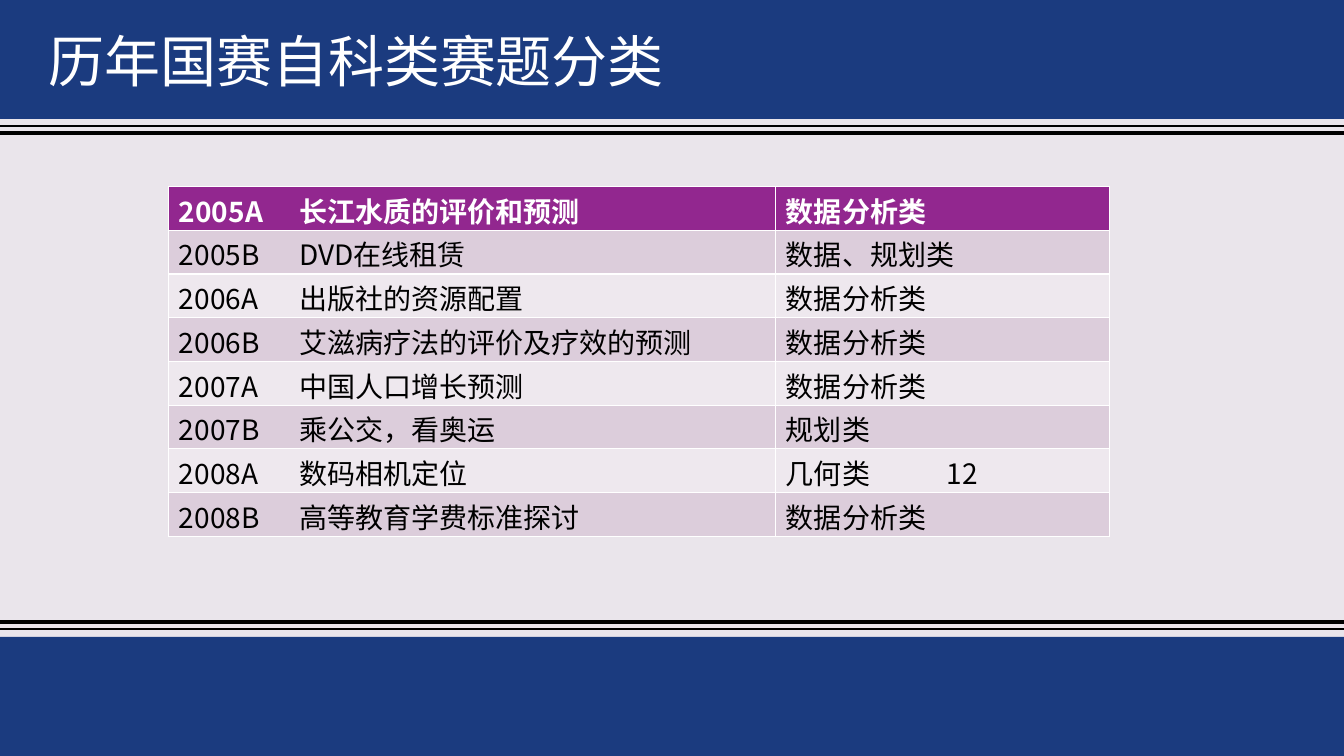
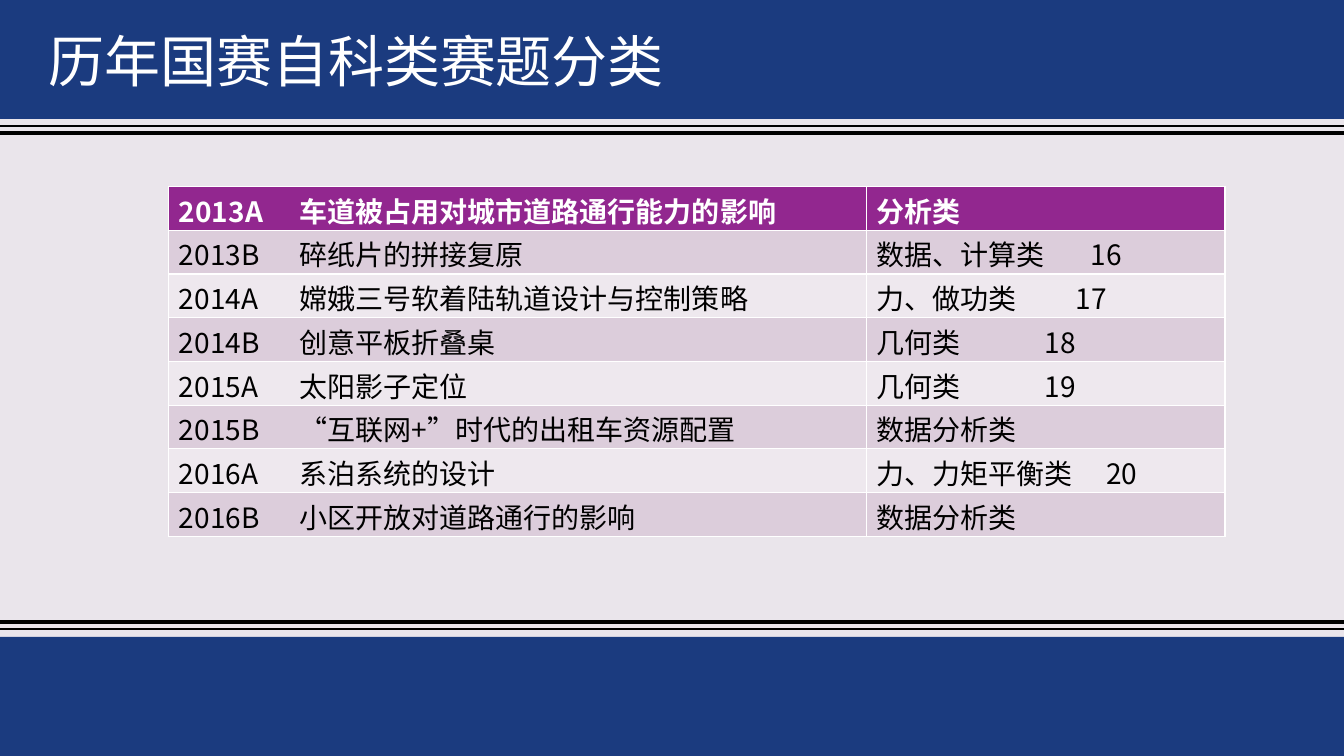
"""Build two slides that classify past competition problems."""
from dataclasses import dataclass

from lxml import etree
from pptx import Presentation
from pptx.dml.color import RGBColor
from pptx.enum.shapes import MSO_CONNECTOR, MSO_SHAPE
from pptx.enum.text import MSO_ANCHOR, MSO_AUTO_SIZE, PP_ALIGN
from pptx.oxml.ns import qn
from pptx.util import Pt

STRAIGHT = MSO_CONNECTOR.STRAIGHT
RECTANGLE = MSO_SHAPE.RECTANGLE
MIDDLE = MSO_ANCHOR.MIDDLE
TOP = MSO_ANCHOR.TOP
NO_AUTOFIT = MSO_AUTO_SIZE.NONE
LEFT = PP_ALIGN.LEFT


@dataclass(frozen=True)
class Theme:
    font: str = "Noto Sans CJK SC"
    title_size: int = 40
    table_size: int = 20
    page: RGBColor = RGBColor(0xEA, 0xE5, 0xEB)
    band: RGBColor = RGBColor(0x1B, 0x3B, 0x7F)
    header: RGBColor = RGBColor(0x92, 0x27, 0x8F)
    odd_row: RGBColor = RGBColor(0xDC, 0xCD, 0xDB)
    even_row: RGBColor = RGBColor(0xEE, 0xE8, 0xEE)
    white: RGBColor = RGBColor(0xFF, 0xFF, 0xFF)
    black: RGBColor = RGBColor(0x00, 0x00, 0x00)


THEME = Theme()
WIDTH, HEIGHT = 960, 540
BAND_HEIGHT = 85
RULES = [(444.24, 3), (449.28, 1), (95.04, 3), (90, 1)]
TITLE = "历年国赛自科类赛题分类"
ROW_HEIGHT = 31.2
TOPIC_TAB = 86

TABLES = [
    ([433.6, 238.4], [
        ("2005A\t长江水质的评价和预测", "数据分析类", 0),
        ("2005B\tDVD在线租赁", "数据、规划类", 0),
        ("2006A\t出版社的资源配置", "数据分析类", 0),
        ("2006B\t艾滋病疗法的评价及疗效的预测", "数据分析类", 0),
        ("2007A\t中国人口增长预测", "数据分析类", 0),
        ("2007B\t乘公交，看奥运", "规划类", 0),
        ("2008A\t数码相机定位", "几何类\t12", 115),
        ("2008B\t高等教育学费标准探讨", "数据分析类", 0),
    ]),
    ([498.4, 256], [
        ("2013A\t车道被占用对城市道路通行能力的影响", "分析类", 0),
        ("2013B\t碎纸片的拼接复原", "数据、计算类\t16", 153),
        ("2014A\t嫦娥三号软着陆轨道设计与控制策略", "力、做功类\t17", 142),
        ("2014B\t创意平板折叠桌", "几何类\t18", 120),
        ("2015A\t太阳影子定位", "几何类\t19", 120),
        ("2015B\t“互联网+”时代的出租车资源配置", "数据分析类", 0),
        ("2016A\t系泊系统的设计", "力、力矩平衡类\t20", 164),
        ("2016B\t小区开放对道路通行的影响", "数据分析类", 0),
    ]),
]


def write(frame, text, size, color, bold=False, tab=0):
    paragraph = frame.paragraphs[0]
    paragraph.alignment = LEFT
    if tab:
        stops = etree.SubElement(paragraph._p.get_or_add_pPr(), qn("a:tabLst"))
        etree.SubElement(stops, qn("a:tab"), pos=str(Pt(tab)), algn="l")
    run = paragraph.add_run()
    run.text = text
    run.font.size = Pt(size)
    run.font.bold = bold
    run.font.color.rgb = color
    run.font.name = THEME.font
    etree.SubElement(run._r.get_or_add_rPr(), qn("a:ea"), typeface=THEME.font)


prs = Presentation()
prs.slide_width, prs.slide_height = Pt(WIDTH), Pt(HEIGHT)
layout = prs.slide_layouts[5]
background = prs.slide_master.background.fill
background.solid()
background.fore_color.rgb = THEME.page
slides = [prs.slides.add_slide(layout) for _ in TABLES]

frame_parts = []
for top in (0, HEIGHT - BAND_HEIGHT):
    band = slides[0].shapes.add_shape(RECTANGLE, 0, Pt(top), Pt(WIDTH), Pt(BAND_HEIGHT))
    band.shadow.inherit = False
    band.fill.solid()
    band.fill.fore_color.rgb = THEME.band
    band.line.fill.background()
    frame_parts.append(band)
for y, weight in RULES:
    rule = slides[0].shapes.add_connector(STRAIGHT, 0, Pt(y), Pt(WIDTH), Pt(y))
    rule.line.color.rgb = THEME.black
    rule.line.width = Pt(weight)
    etree.SubElement(rule._element.spPr, qn("a:effectLst"))
    frame_parts.append(rule)
for position, part in enumerate(frame_parts, start=2):
    layout.shapes.element.insert(position, part.element)

for slide, (widths, rows) in zip(slides, TABLES):
    title = slide.shapes.title
    title.left, title.top, title.width, title.height = Pt(27.4), Pt(15), Pt(610), Pt(55.4)
    title.text_frame.auto_size = NO_AUTOFIT
    title.text_frame.vertical_anchor = MIDDLE
    write(title.text_frame, TITLE, THEME.title_size, THEME.white)

    table = slide.shapes.add_table(
        len(rows), len(widths), Pt(120.6), Pt(133.2),
        Pt(sum(widths)), Pt(ROW_HEIGHT * len(rows))).table
    for column, width in zip(table.columns, widths):
        column.width = Pt(width)
    for index, (problem, category, number_tab) in enumerate(rows):
        table.rows[index].height = Pt(ROW_HEIGHT)
        is_header = index == 0
        fill = THEME.header if is_header else (THEME.even_row, THEME.odd_row)[index % 2]
        ink = THEME.white if is_header else THEME.black
        for column, (text, tab) in enumerate([(problem, TOPIC_TAB), (category, number_tab)]):
            cell = table.cell(index, column)
            cell.fill.solid()
            cell.fill.fore_color.rgb = fill
            cell.vertical_anchor = TOP
            cell.margin_top, cell.margin_bottom = Pt(2.2), 0
            write(cell.text_frame, text, THEME.table_size, ink, bold=is_header, tab=tab)

prs.save("out.pptx")
